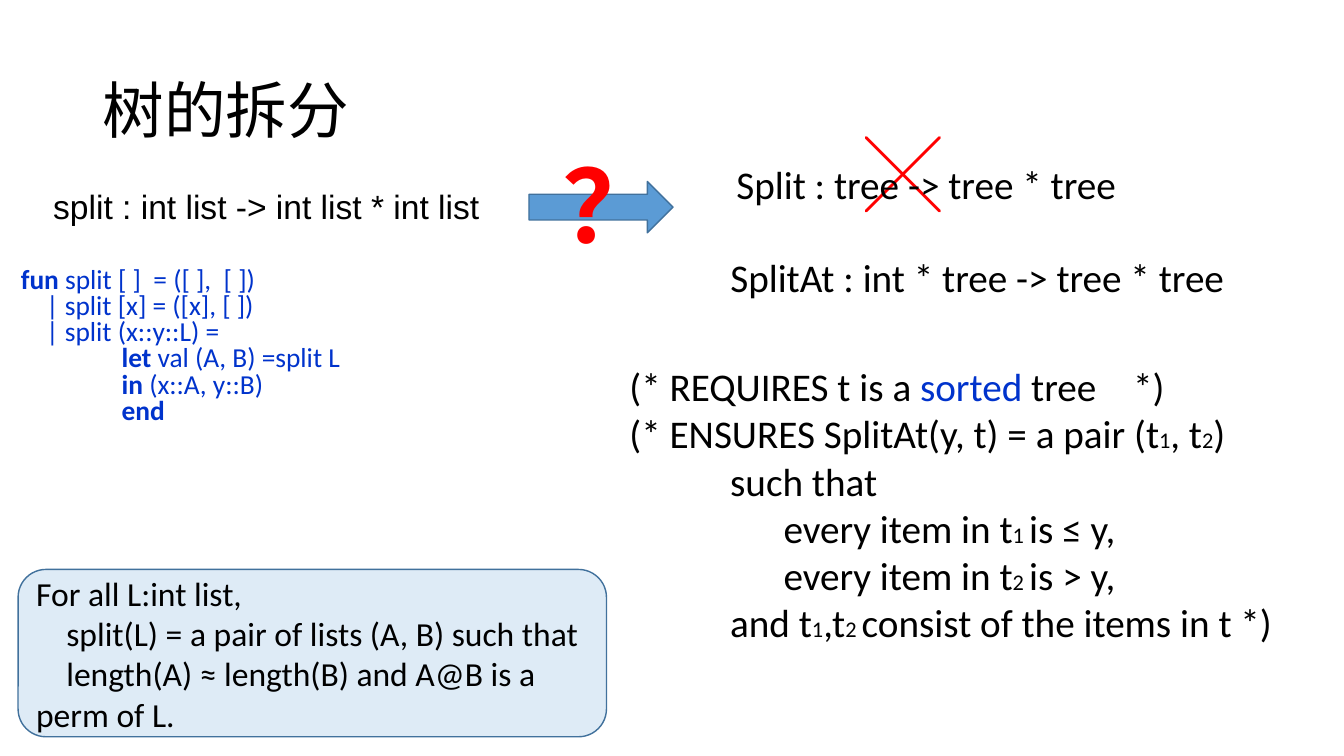
"""Build the slide on splitting trees, from list split to SplitAt."""
from lxml.etree import SubElement
from pptx import Presentation
from pptx.dml.color import RGBColor
from pptx.enum.lang import MSO_LANGUAGE_ID
from pptx.enum.shapes import MSO_SHAPE
from pptx.enum.text import MSO_ANCHOR, PP_ALIGN
from pptx.oxml.ns import qn
from pptx.util import Inches, Pt

COLORS = {"black": "000000", "blue": "0033CC", "red": "FF0000",
          "pale": "DEEBF6", "arrow": "5B9BD5", "edge": "41719C"}
WIDTH, HEIGHT = 13.34, 7.5
BOLD = {"bold": True}
SORTED = {"color": "blue"}
SUB = {"size": 16}

# Each line is a first-line indent in inches, then its runs.
CODE = [
    (0, ("fun ", BOLD), "split [ ]  = ([ ],  [ ])"),
    (0.25, "| split [x] = ([x], [ ])"),
    (0.25, "| split (x::y::L) ="),
    (1, ("let ", BOLD), "val (A, B) =split L"),
    (1, ("in ", BOLD), "(x::A, y::B)"),
    (1, ("end", BOLD)),
]
PROPERTY = [
    (0, "For all L:int list,"),
    (0.3, "split(L) = a pair of lists (A, B) such that"),
    (0.3, "length(A) ≈ length(B) and A@B is a perm of L."),
]
CONTRACT = [
    (0, "(* REQUIRES t is a ", ("sorted", SORTED), " tree\t*)"),
    (0, "(* ENSURES SplitAt(y, t) = a pair (t", ("1", SUB), ", t", ("2", SUB), ")"),
    (1, "such that"),
    (1.53, "every item in t", ("1 ", SUB), "is ≤ y,"),
    (1.53, "every item in t", ("2 ", SUB), "is > y,"),
    (1, "and t", ("1", SUB), ",t", ("2 ", SUB), "consist of the items in t *)"),
]

# Places are left, top, width, height in percent of the slide.
TEXTS = [
    ((0.82, 34.8, 42.35, 30.27), CODE, {"size": 19.6, "color": "blue", "spacing": 0.8}),
    ((3.22, 23.87, 37.63, 6.67), [(0, "split : int list -> int list * int list")],
     {"size": 24, "font": "Arial"}),
    ((53.6, 32.8, 42.35, 7.6), [(0, "SplitAt : int * tree -> tree * tree")], {}),
    ((41.15, 18.27, 4.95, 17.33), [(0, "？")],
     {"size": 72, "font": "Arial", "color": "red", "bold": True}),
    ((63.64, 16.27, 5.32, 13.33), [(0, "╳")],
     {"size": 54, "font": "Noto Sans CJK JP", "color": "red", "bold": True}),
    ((54.05, 20.53, 37.63, 7.6), [(0, "Split : tree -> tree * tree")], {}),
    ((46.1, 47.33, 50, 38.67), CONTRACT, {"tab": 6.04}),
]
TITLE = ((6.9, 5.33, 86.21, 19.33), [(0, "树的拆分")],
         {"size": 44, "spacing": 0.9, "anchor": MSO_ANCHOR.MIDDLE})
PROPERTY_PLACE = (1.35, 75.33, 43.78, 22.13)
ARROW_PLACE = (39.36, 24, 10.72, 6.8)


def frame(place):
    """Turn percent of the slide into lengths."""
    return [Inches(share * side / 100) for share, side in zip(place, (WIDTH, HEIGHT) * 2)]


def write(box, lines, size=28, font="Calibri", color="black", bold=False,
          spacing=1.0, tab=None, anchor=MSO_ANCHOR.TOP):
    """Fill a box with formatted lines."""
    text = box.text_frame
    text.word_wrap = True
    text.vertical_anchor = anchor
    for number, (indent, *runs) in enumerate(lines):
        para = text.add_paragraph() if number else text.paragraphs[0]
        para.alignment = PP_ALIGN.LEFT
        para.line_spacing = spacing
        properties = para._p.get_or_add_pPr()
        properties.set("marL", "0")
        properties.set("indent", str(Inches(indent)))
        if tab:
            stops = SubElement(properties, qn("a:tabLst"))
            SubElement(stops, qn("a:tab"), pos=str(Inches(tab)), algn="l")
        for run in runs:
            words, change = (run, {}) if isinstance(run, str) else run
            style = {"size": size, "color": color, "bold": bold, **change}
            span = para.add_run()
            span.text = words
            span.font.name = font
            span.font.size = Pt(style["size"])
            span.font.bold = style["bold"]
            span.font.color.rgb = RGBColor.from_string(COLORS[style["color"]])
            span.font.language_id = MSO_LANGUAGE_ID.SIMPLIFIED_CHINESE
            if not words.isascii():
                SubElement(span._r.get_or_add_rPr(), qn("a:ea"), typeface=font)


def add_text(page, place, lines, **style):
    """Add a text box."""
    write(page.shapes.add_textbox(*frame(place)), lines, **style)


def add_block(page, kind, place, fill):
    """Add a filled preset shape with a thin edge."""
    shape = page.shapes.add_shape(kind, *frame(place))
    shape.shadow.inherit = False
    shape.fill.solid()
    shape.fill.fore_color.rgb = RGBColor.from_string(COLORS[fill])
    shape.line.color.rgb = RGBColor.from_string(COLORS["edge"])
    shape.line.width = Pt(1)
    return shape


def main():
    """Build and save the deck."""
    deck = Presentation()
    deck.slide_width, deck.slide_height = Inches(WIDTH), Inches(HEIGHT)
    page = deck.slides.add_slide(deck.slide_layouts[6])
    panel = add_block(page, MSO_SHAPE.ROUNDED_RECTANGLE, PROPERTY_PLACE, "pale")
    write(panel, PROPERTY, size=24, anchor=MSO_ANCHOR.MIDDLE)
    add_block(page, MSO_SHAPE.RIGHT_ARROW, ARROW_PLACE, "arrow")
    for place, lines, style in [TITLE, *TEXTS]:
        add_text(page, place, lines, **style)
    deck.save("out.pptx")


if __name__ == "__main__":
    main()
